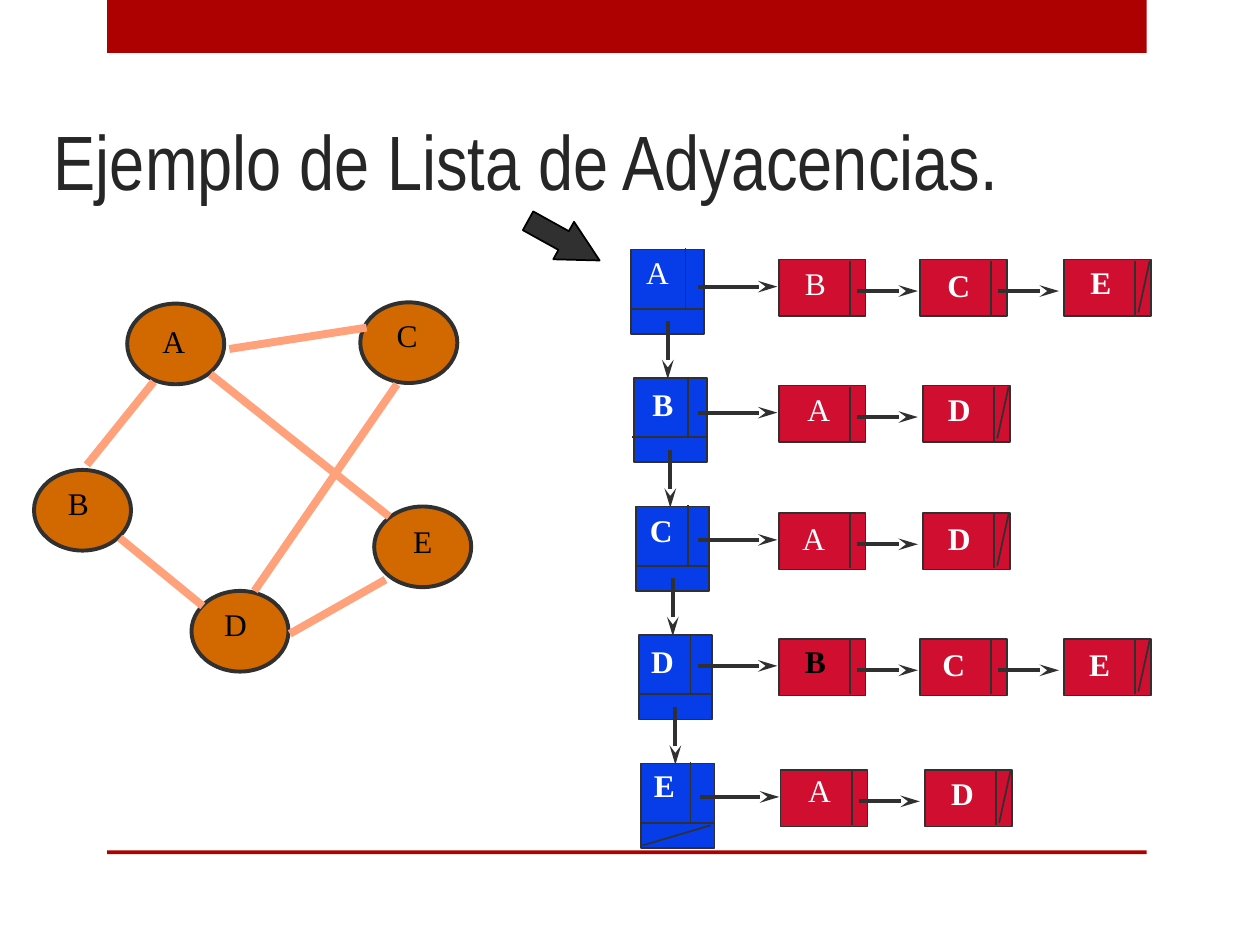
from lxml.etree import SubElement
from pptx import Presentation
from pptx.dml.color import RGBColor
from pptx.enum.shapes import MSO_CONNECTOR as Connector, MSO_SHAPE as Shape
from pptx.enum.text import MSO_ANCHOR as Anchor
from pptx.oxml.ns import qn
from pptx.util import Inches, Pt

COLORS = {
    "band": "AD0101", "title": "262626", "node": "D26900", "edge": "FFA27C",
    "ink": "303030", "vertex": "063DE8", "neighbour": "CF0E30",
    "black": "000000", "white": "FFFFFF",
}
# Label style: colour, bold
STYLES = {"plain": ("white", False), "bold": ("white", True),
          "dark": ("black", True), "graph": ("black", False)}

# Grid of 100 columns by 75 rows, with square units
COLUMNS, ROWS = 100, 75
presentation = Presentation()
presentation.slide_width, presentation.slide_height = Inches(10), Inches(7.5)
UNIT = presentation.slide_width / COLUMNS

# Graph nodes: left, top, label offset
NODES = {
    "A": (7.4, 0.1, 1.8, 1), "B": (0, 13.3, 1.7, 0.6),
    "D": (12.5, 22.9, 1.6, 0.6), "E": (27, 16.2, 2.1, 0.7),
    "C": (25.9, 0, 1.9, 0.6),
}
EDGES = [
    (9.5, 6.3, 4.2, 12.9), (26.4, 2, 15.5, 3.7), (28.2, 17, 14, 5.7),
    (13.4, 24.1, 6.8, 18.7), (28.8, 6.5, 17.5, 22.9), (27.9, 22, 20.3, 26.3),
]
# Each list: vertex, left and top of its chain, neighbours
# Each label: letter, label offset, style
LISTS = [
    (("A", 0.2, -0.2, "plain"), 11.7, 0.8,
     [("B", 1.1, -0.1, "plain"), ("C", 1.2, 0, "bold"), ("E", 1.1, -0.2, "bold")]),
    (("B", 0.5, 0.1, "bold"), 11.7, 10.8,
     [("A", 1.3, -0.1, "plain"), ("D", 1, -0.1, "bold")]),
    (("C", 0.1, -0.1, "bold"), 11.7, 20.9,
     [("A", 0.9, 0, "plain"), ("D", 1, 0, "bold")]),
    (("D", 0, 0.1, "bold"), 11.7, 30.9,
     [("B", 1.1, -0.2, "dark"), ("C", 0.8, 0, "bold"), ("E", 1, 0, "bold")]),
    (("E", 0, -0.3, "bold"), 11.85, 41.3,
     [("A", 1.2, -0.4, "plain"), ("D", 1.1, -0.2, "bold")]),
]


def grid(*lengths):
    return [round(length * UNIT) for length in lengths]


def color(name):
    return RGBColor.from_string(COLORS[name])


def add_block(slide, kind, box, fill, line=None, weight=1):
    shape = slide.shapes.add_shape(kind, *grid(*box))
    shape.shadow.inherit = False
    shape.fill.solid()
    shape.fill.fore_color.rgb = color(fill)
    if line:
        shape.line.color.rgb = color(line)
        shape.line.width = Pt(weight)
    else:
        shape.line.fill.background()
    return shape


def add_line(slide, left, top, ends, line="ink", weight=1, arrow=False):
    x1, y1, x2, y2 = ends
    connector = slide.shapes.add_connector(
        Connector.STRAIGHT, *grid(left + x1, top + y1, left + x2, top + y2))
    connector.line.color.rgb = color(line)
    connector.line.width = Pt(weight)
    properties = connector._element.spPr
    if arrow:
        SubElement(properties.find(qn("a:ln")), qn("a:tailEnd"),
                   type="stealth", w="med", len="lg")
    SubElement(properties, qn("a:effectLst"))


def add_text(slide, box, text, font, size, fill, bold=False):
    frame = slide.shapes.add_textbox(*grid(*box)).text_frame
    paragraph = frame.paragraphs[0]
    paragraph.text = text
    paragraph.font.name = font
    paragraph.font.size = Pt(size)
    paragraph.font.bold = bold
    paragraph.font.color.rgb = color(fill)
    return frame


def add_label(slide, left, top, letter, dx, dy, style):
    add_text(slide, (left + dx, top + dy, 3.8, 4), letter,
             "Times New Roman", 18, *STYLES[style])


def add_heading(slide):
    # Bands and title
    add_block(slide, Shape.RECTANGLE, (8.5, 0, 82.5, 4.2), "band")
    add_block(slide, Shape.RECTANGLE, (8.5, 67.5, 82.5, 0.3), "band")
    frame = add_text(slide, (3.3, 4.3, 92.6, 12.5),
                     "Ejemplo de Lista de Adyacencias.", "Arial Narrow", 44, "title")
    frame.word_wrap = True
    frame.vertical_anchor = Anchor.BOTTOM


def add_graph(slide, left, top):
    for x, y, _, _ in NODES.values():
        add_block(slide, Shape.OVAL, (left + x, top + y, 7.7, 6.4), "node", "ink", 2.25)
    for ends in EDGES:
        add_line(slide, left, top, ends, "edge", 4.5)
    for letter, (x, y, dx, dy) in NODES.items():
        add_label(slide, left + x, top + y, letter, dx, dy, "graph")


def add_vertex(slide, left, top, split, label, last):
    add_block(slide, Shape.RECTANGLE, (left, top, 5.8, 6.7), "vertex", "ink")
    add_line(slide, left, top, (-0.1, 4.7, 5.8, 4.7))
    add_line(slide, left, top, (split, -0.1, split, 4.7))
    if last:
        add_line(slide, left, top, (0.1, 6.5, 5.5, 4.9))
    else:
        add_line(slide, left, top, (2.9, 5.7, 2.9, 10.3), weight=2.25, arrow=True)
    add_label(slide, left, top, *label)


def add_neighbour(slide, left, top, label, last):
    add_block(slide, Shape.RECTANGLE, (left, top, 6.9, 4.5), "neighbour", "ink")
    add_line(slide, left, top, (5.65, 0.1, 5.65, 4.4))
    if last:
        add_line(slide, left, top, (5.9, 4.2, 6.8, 0.1))
    else:
        add_line(slide, left, top, (6.2, 2.5, 11.05, 2.5), weight=2.25, arrow=True)
    add_label(slide, left, top, *label)


def add_adjacency_lists(slide, left, top):
    for row, (vertex, chain_x, chain_y, neighbours) in enumerate(LISTS):
        # Vertex cells drift right by a small step
        shift = max(0.2 * row, 0)
        split = 4.3 + 0.2 * ((row + 1) // 2) - shift
        add_vertex(slide, left + shift, top + 10.2 * row, split, vertex,
                   row == len(LISTS) - 1)
        # Chain of neighbours
        chain_left, chain_top = left + chain_x, top + chain_y
        add_line(slide, chain_left, chain_top, (-6.4, 2.15, -0.1, 2.15),
                 weight=2.25, arrow=True)
        for position, label in enumerate(neighbours):
            last = position == len(neighbours) - 1
            x = 11.2 * position + (0.25 if last else 0)
            add_neighbour(slide, chain_left + x, chain_top, label, last)


def add_pointer(slide, left, top):
    pointer = add_block(slide, Shape.RIGHT_ARROW, (left, top, 6.5, 3.4), "ink", "black")
    pointer.rotation = 29
    pointer.adjustments[0], pointer.adjustments[1] = 0.5, 0.96


slide = presentation.slides.add_slide(presentation.slide_layouts[6])
add_heading(slide)
add_graph(slide, 2.7, 24)
add_adjacency_lists(slide, 50.1, 19.8)
add_pointer(slide, 41.5, 17.4)
presentation.save("out.pptx")
